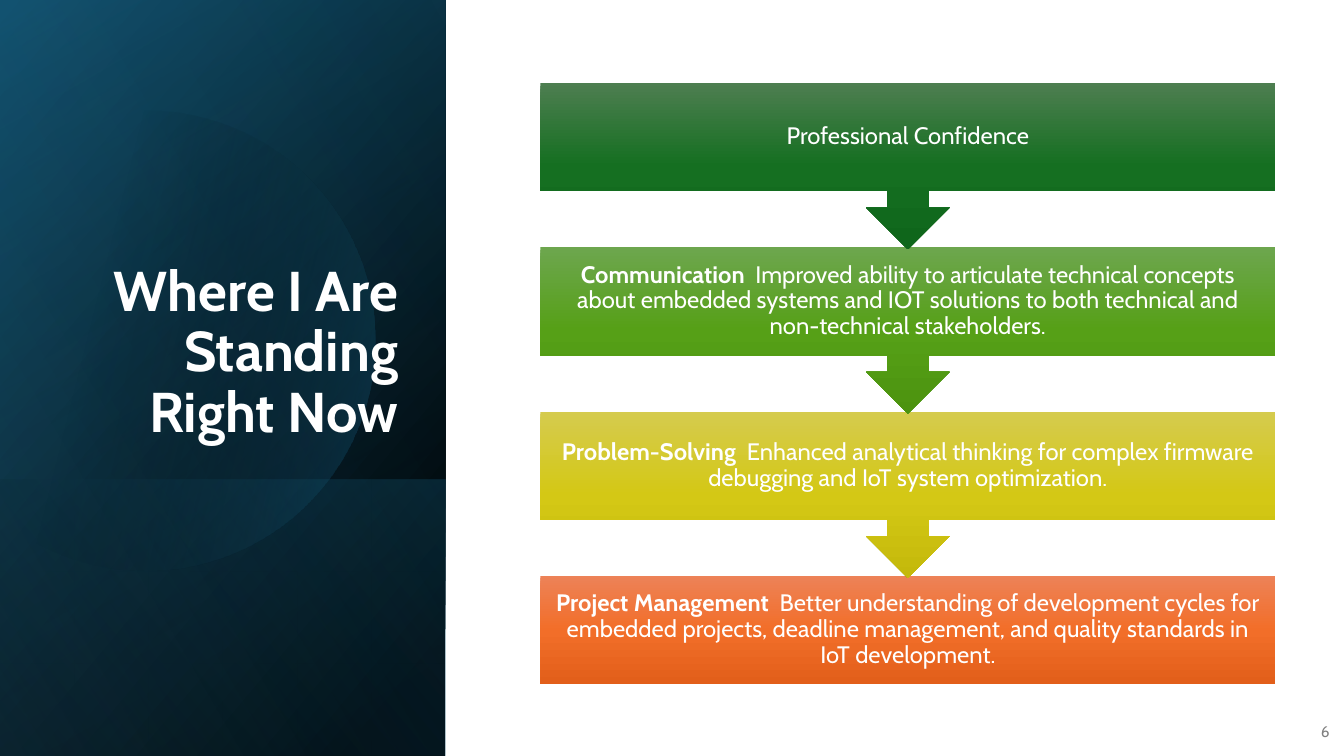
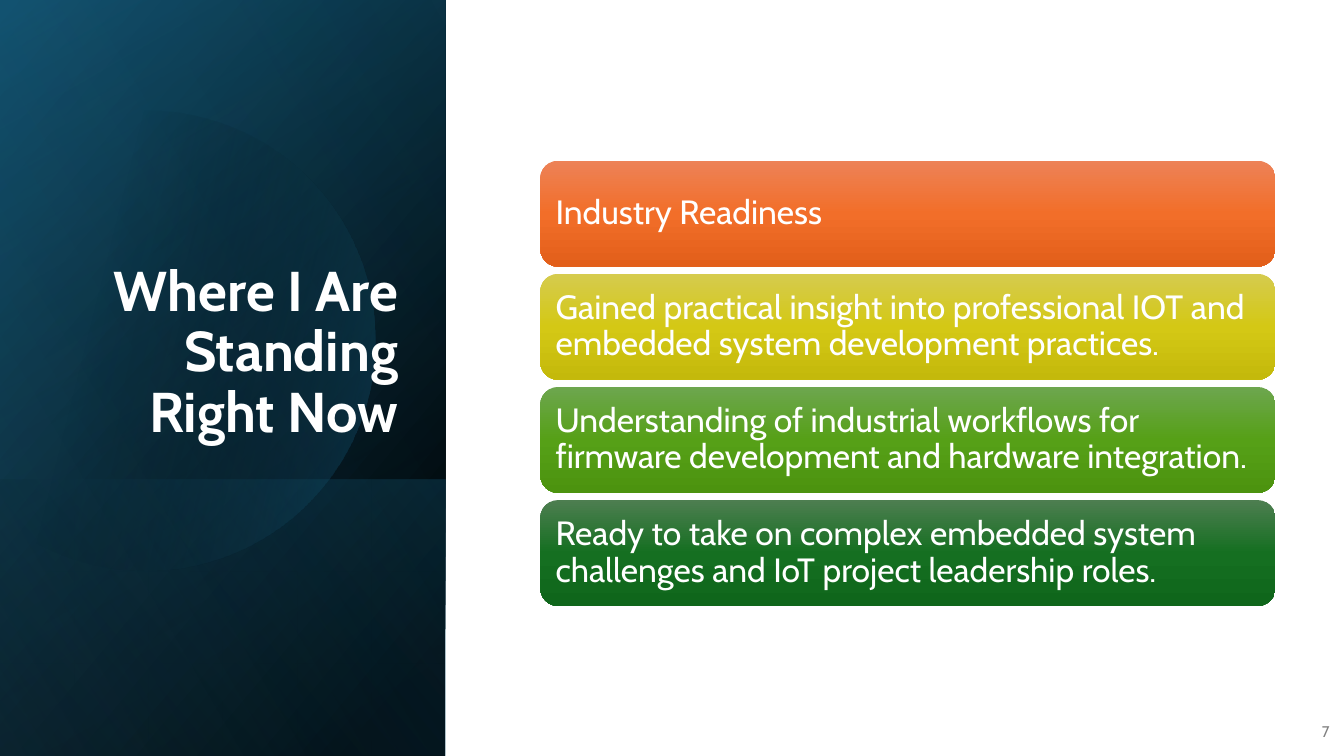
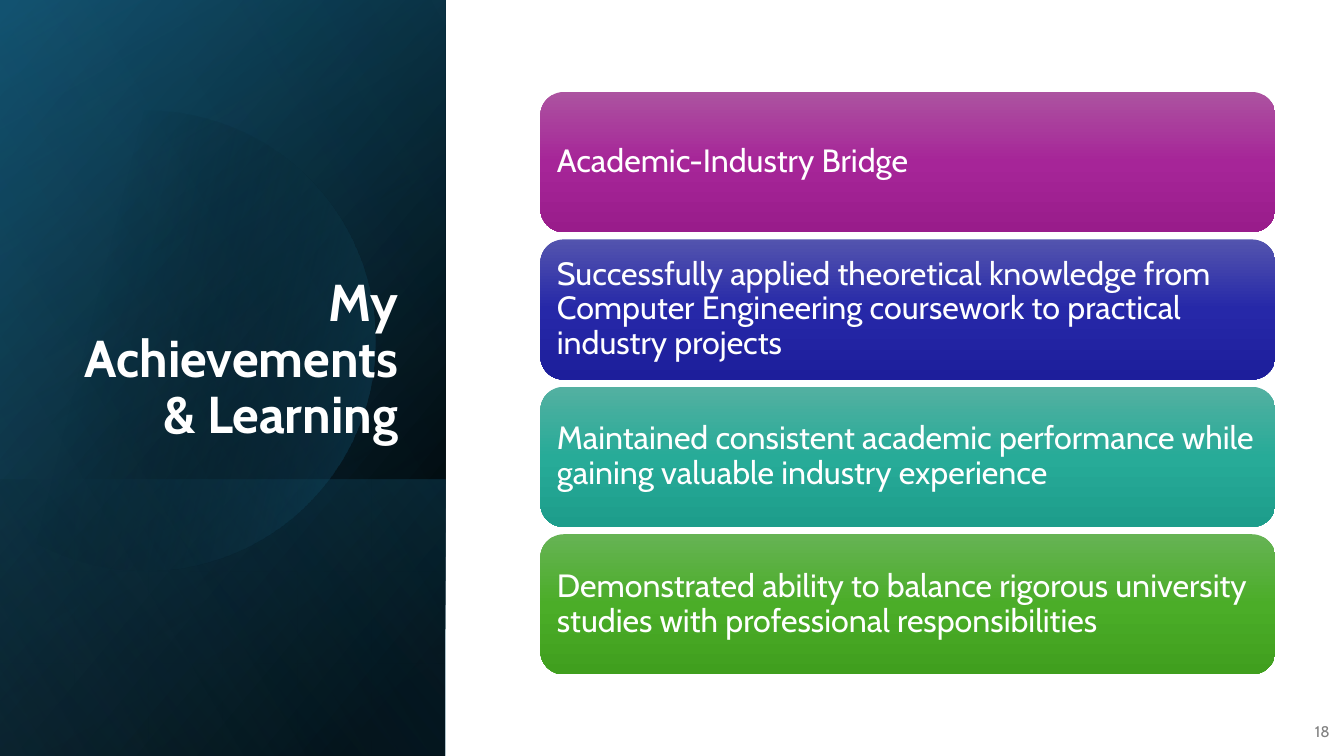
"""Build three slides that pair a dark title panel with a stack of gradient cards."""
import math
from dataclasses import dataclass
from typing import Any, NamedTuple

import lxml.etree
import pptx
import pptx.dml.color
import pptx.enum.shapes
import pptx.enum.text
import pptx.oxml.ns
import pptx.util

Pt = pptx.util.Pt
Shapes = pptx.enum.shapes.MSO_SHAPE
Align = pptx.enum.text.PP_ALIGN
Anchor = pptx.enum.text.MSO_ANCHOR

PAGE_WIDTH, PAGE_HEIGHT = 960, 540
PANEL_WIDTH = 318.2
CARD_LEFT, CARD_WIDTH = 386, 525
FONT, WHITE, GREY = "Cabin", "FFFFFF", "808080"


class Stop(NamedTuple):
    position: int
    color: str
    opacity: int = 100


class Span(NamedTuple):
    text: str
    bold: bool = False


class Bounds(NamedTuple):
    left: float
    top: float
    width: float
    height: float


@dataclass
class Veil:
    top: float
    angle: float
    stops: list[Stop]


@dataclass
class TextStyle:
    size: float
    color: str = WHITE
    align: Any = Align.LEFT
    anchor: Any = Anchor.MIDDLE
    spacing: float = 0.9
    margin_x: float = 7.2
    margin_y: float = 3.6


@dataclass
class Card:
    shades: tuple[str, str, str]
    spans: list[Span]


@dataclass
class Stack:
    shape: Any
    last_shape: Any
    top: float
    pitch: float
    height: float
    last_height: float
    style: TextStyle
    cards: list[Card]


@dataclass
class Page:
    title: str
    title_size: float
    number: str
    stack: Stack


BACKDROP = Veil(0, 50, [Stop(8, "000000"), Stop(100, "104862")])
TINT = Veil(0, 30, [Stop(0, "000000", 0), Stop(99, "156082", 46)])
FOOT = Veil(342.7, 130, [Stop(2, "156082", 29), Stop(100, "000000", 30)])
GLOSS = Veil(0, 120, [Stop(0, "000000", 0), Stop(99, "46B1E1", 11)])
DISC_STOPS = [Stop(29, "000000", 0), Stop(100, "156082", 43)]
DISC_ANGLE = 14

ORANGE = ("ED8257", "F26E29", "E25F1A")
YELLOW = ("D5CB4E", "D4C815", "C4B90B")
GREEN = ("6DA64E", "56A017", "4C930F")
DARK_GREEN = ("4D7E50", "156F21", "0F661B")
PURPLE = ("AC53A0", "A62598", "991C8B")
BLUE = ("5354AE", "2628A8", "1D1E9B")
TEAL = ("53B0A1", "27AB98", "1D9D8B")
LEAF = ("66B354", "4BAD28", "409F1E")


def rounded_stack(top: float, pitch: float, height: float, size: float,
                  cards: list[Card]) -> Stack:
    """Describe a stack of rounded cards with text on the left."""
    margin = size * 0.3
    style = TextStyle(size, margin_x=margin, margin_y=margin)
    shape = Shapes.ROUNDED_RECTANGLE
    return Stack(shape, shape, top, pitch, height, height, style, cards)


PAGES = [
    Page("Where I Are Standing Right Now", 40, "6", Stack(
        Shapes.DOWN_ARROW_CALLOUT, Shapes.RECTANGLE, 59.2, 117.4, 118.8, 77.2,
        TextStyle(17, align=Align.CENTER, margin_x=9.5, margin_y=9.5), [
            Card(DARK_GREEN, [Span("Professional Confidence")]),
            Card(GREEN, [
                Span("Communication ", True),
                Span(" Improved ability to articulate technical concepts about embedded "
                     "systems and IOT solutions to both technical and non-technical "
                     "stakeholders.")]),
            Card(YELLOW, [
                Span("Problem-Solving ", True),
                Span(" Enhanced analytical thinking for complex firmware debugging "
                     "and IoT system optimization.")]),
            Card(ORANGE, [
                Span("Project Management ", True),
                Span(" Better understanding of development cycles for embedded projects, "
                     "deadline management, and quality standards in IoT development.")]),
        ])),
    Page("Where I Are Standing Right Now", 40, "7", rounded_stack(114.8, 80.8, 75.6, 24, [
        Card(ORANGE, [Span("Industry Readiness")]),
        Card(YELLOW, [Span("Gained practical insight into professional IOT and embedded "
                           "system development practices.")]),
        Card(GREEN, [Span("Understanding of industrial workflows for firmware development "
                          "and hardware integration.")]),
        Card(DARK_GREEN, [Span("Ready to take on complex embedded system challenges and "
                               "IoT project leadership roles.")]),
    ])),
    Page("My Achievements & Learning", 37, "18", rounded_stack(65.7, 105.3, 100.1, 23, [
        Card(PURPLE, [Span("Academic-Industry Bridge")]),
        Card(BLUE, [Span("Successfully applied theoretical knowledge from Computer "
                         "Engineering coursework to practical industry projects")]),
        Card(TEAL, [Span("Maintained consistent academic performance while gaining "
                         "valuable industry experience")]),
        Card(LEAF, [Span("Demonstrated ability to balance rigorous university studies "
                         "with professional responsibilities")]),
    ])),
]


def color(value: str) -> pptx.dml.color.RGBColor:
    """Turn a hex string into a colour."""
    return pptx.dml.color.RGBColor.from_string(value)


def apply(target: Any, values: dict[str, Any]) -> None:
    """Set each named attribute on the target."""
    for name, value in values.items():
        setattr(target, name, value)


def in_points(bounds: Bounds) -> list[pptx.util.Pt]:
    """Convert bounds to lengths."""
    return [Pt(value) for value in bounds]


def paint(shape: Any, stops: list[Stop], angle: float) -> None:
    """Fill a shape with a clockwise linear gradient, without line or shadow."""
    qn = pptx.oxml.ns.qn
    shape.shadow.inherit = False
    shape.line.fill.background()
    shape.fill.gradient()
    shape.fill.gradient_angle = 360 - angle
    stop_list = shape._element.spPr.find(qn("a:gradFill")).find(qn("a:gsLst"))
    for old_stop in list(stop_list):
        stop_list.remove(old_stop)
    for stop in stops:
        entry = lxml.etree.SubElement(stop_list, qn("a:gs"), pos=str(stop.position * 1000))
        shade = lxml.etree.SubElement(entry, qn("a:srgbClr"), val=str(color(stop.color)))
        if stop.opacity < 100:
            lxml.etree.SubElement(shade, qn("a:alpha"), val=str(stop.opacity * 1000))


def write(shape: Any, spans: list[Span], style: TextStyle) -> None:
    """Write one styled paragraph into a shape."""
    frame = shape.text_frame
    apply(frame, {
        "word_wrap": True,
        "vertical_anchor": style.anchor,
        "margin_left": Pt(style.margin_x),
        "margin_right": Pt(style.margin_x),
        "margin_top": Pt(style.margin_y),
        "margin_bottom": Pt(style.margin_y),
    })
    para = frame.paragraphs[0]
    apply(para, {"alignment": style.align, "line_spacing": style.spacing})
    for span in spans:
        run = para.add_run()
        run.text = span.text
        apply(run.font, {"name": FONT, "size": Pt(style.size), "bold": span.bold})
        run.font.color.rgb = color(style.color)


def add_veil(slide: Any, veil: Veil) -> None:
    """Lay a turned and mirrored gradient sheet over the panel, down to the slide's foot."""
    height = PAGE_HEIGHT - veil.top
    shift = (height - PANEL_WIDTH) / 2
    bounds = Bounds(-shift, veil.top + shift, height, PANEL_WIDTH)
    sheet = slide.shapes.add_shape(Shapes.RECTANGLE, *in_points(bounds))
    sheet.rotation = 90
    sheet._element.spPr.xfrm.set("flipH", "1")
    paint(sheet, veil.stops, veil.angle)


def add_disc(slide: Any) -> None:
    """Draw the disc that the left slide edge cuts off."""
    center_x, center_y, radius, steps = 103.7, 243.4, 164.2, 90
    reach = math.acos(-center_x / radius)
    angles = [reach * (2 * step / steps - 1) for step in range(steps + 1)]
    points = [(Pt(center_x + radius * math.cos(angle)), Pt(center_y + radius * math.sin(angle)))
              for angle in angles]
    builder = slide.shapes.build_freeform(*points[0])
    builder.add_line_segments(points[1:], close=True)
    paint(builder.convert_to_shape(), DISC_STOPS, DISC_ANGLE)


def add_text(slide: Any, bounds: Bounds, span: Span, style: TextStyle) -> None:
    """Add a text box."""
    write(slide.shapes.add_textbox(*in_points(bounds)), [span], style)


def add_frame(slide: Any, page: Page) -> None:
    """Draw the panel, title and page number."""
    for veil in (BACKDROP, TINT, FOOT):
        add_veil(slide, veil)
    add_disc(slide)
    add_veil(slide, GLOSS)
    add_text(slide, Bounds(46, 132.5, 245.5, 188.6), Span(page.title, True),
             TextStyle(page.title_size, align=Align.RIGHT, anchor=Anchor.BOTTOM))
    add_text(slide, Bounds(921.6, 508.3, 35.3, 28.8), Span(page.number),
             TextStyle(11, GREY, Align.RIGHT, spacing=1.0))


def add_stack(slide: Any, stack: Stack) -> None:
    """Draw the cards from the last up, so that arrow tips lie over the next card."""
    last = len(stack.cards) - 1
    for index, card in reversed(list(enumerate(stack.cards))):
        kind = stack.last_shape if index == last else stack.shape
        height = stack.last_height if index == last else stack.height
        bounds = Bounds(CARD_LEFT, stack.top + index * stack.pitch, CARD_WIDTH, height)
        box = slide.shapes.add_shape(kind, *in_points(bounds))
        paint(box, [Stop(*pair) for pair in zip((0, 50, 100), card.shades)], 90)
        write(box, card.spans, stack.style)


def main() -> None:
    """Build and save the deck."""
    deck = pptx.Presentation()
    apply(deck, {"slide_width": Pt(PAGE_WIDTH), "slide_height": Pt(PAGE_HEIGHT)})
    for page in PAGES:
        slide = deck.slides.add_slide(deck.slide_layouts[6])
        add_frame(slide, page)
        add_stack(slide, page.stack)
    deck.save("out.pptx")


if __name__ == "__main__":
    main()
